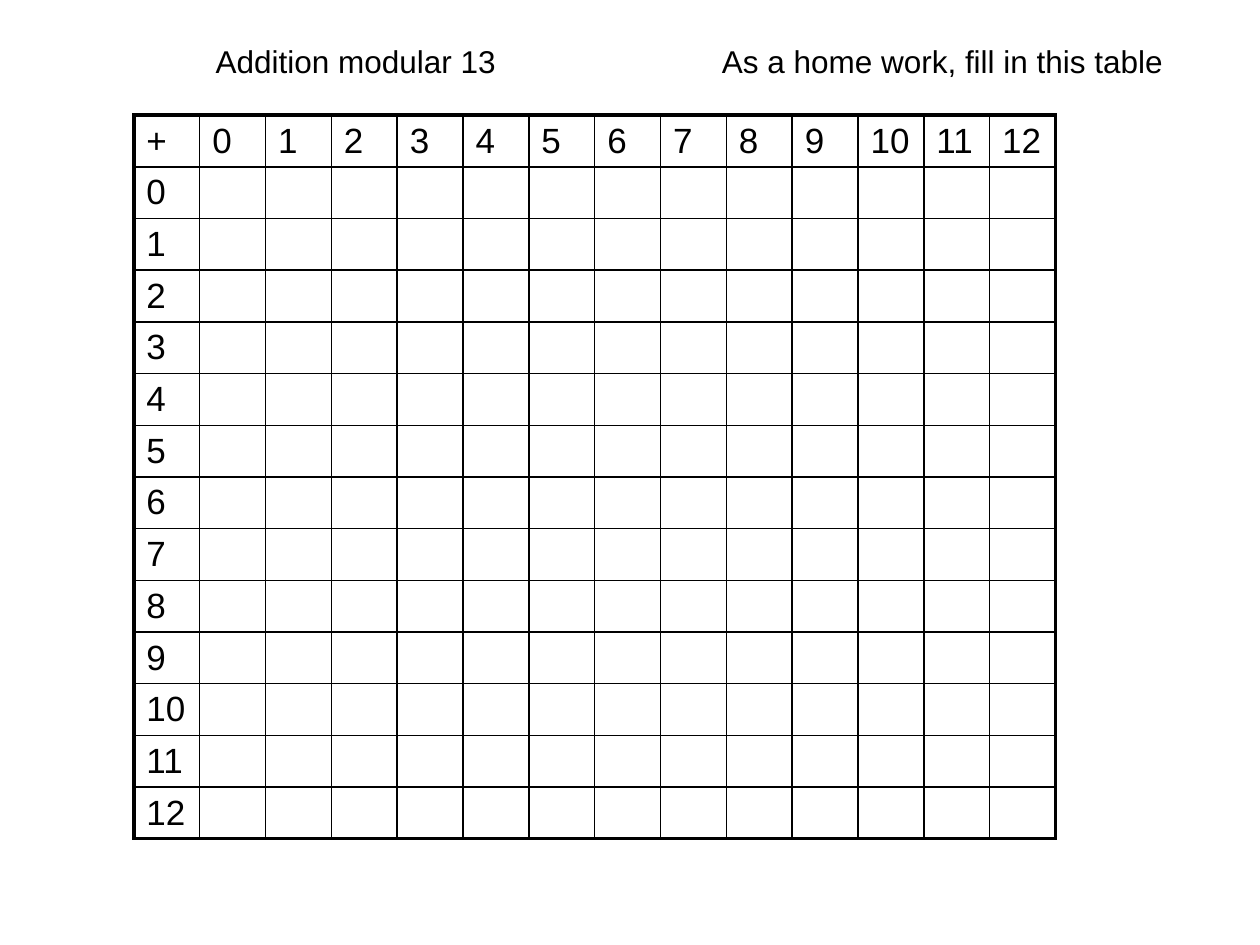
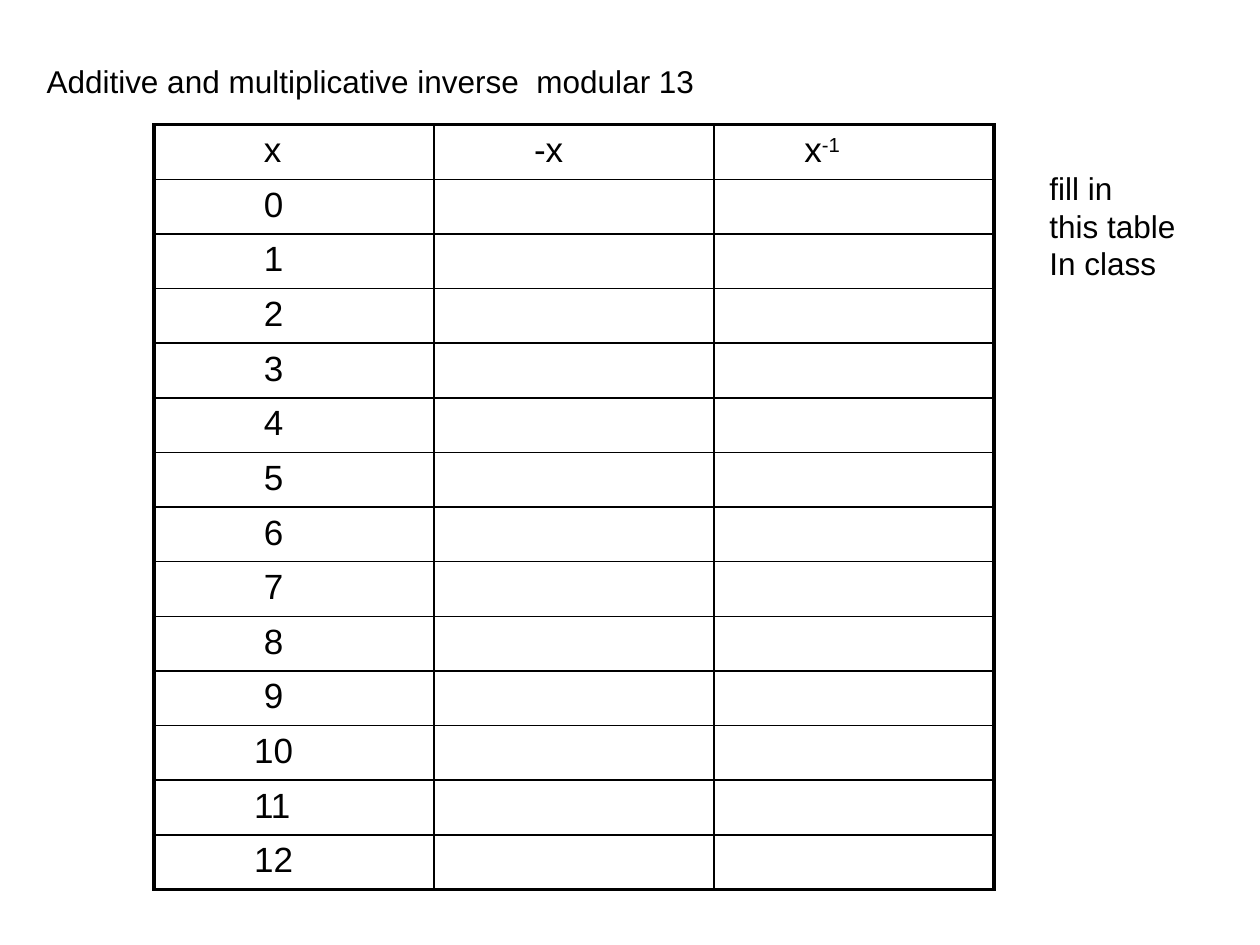
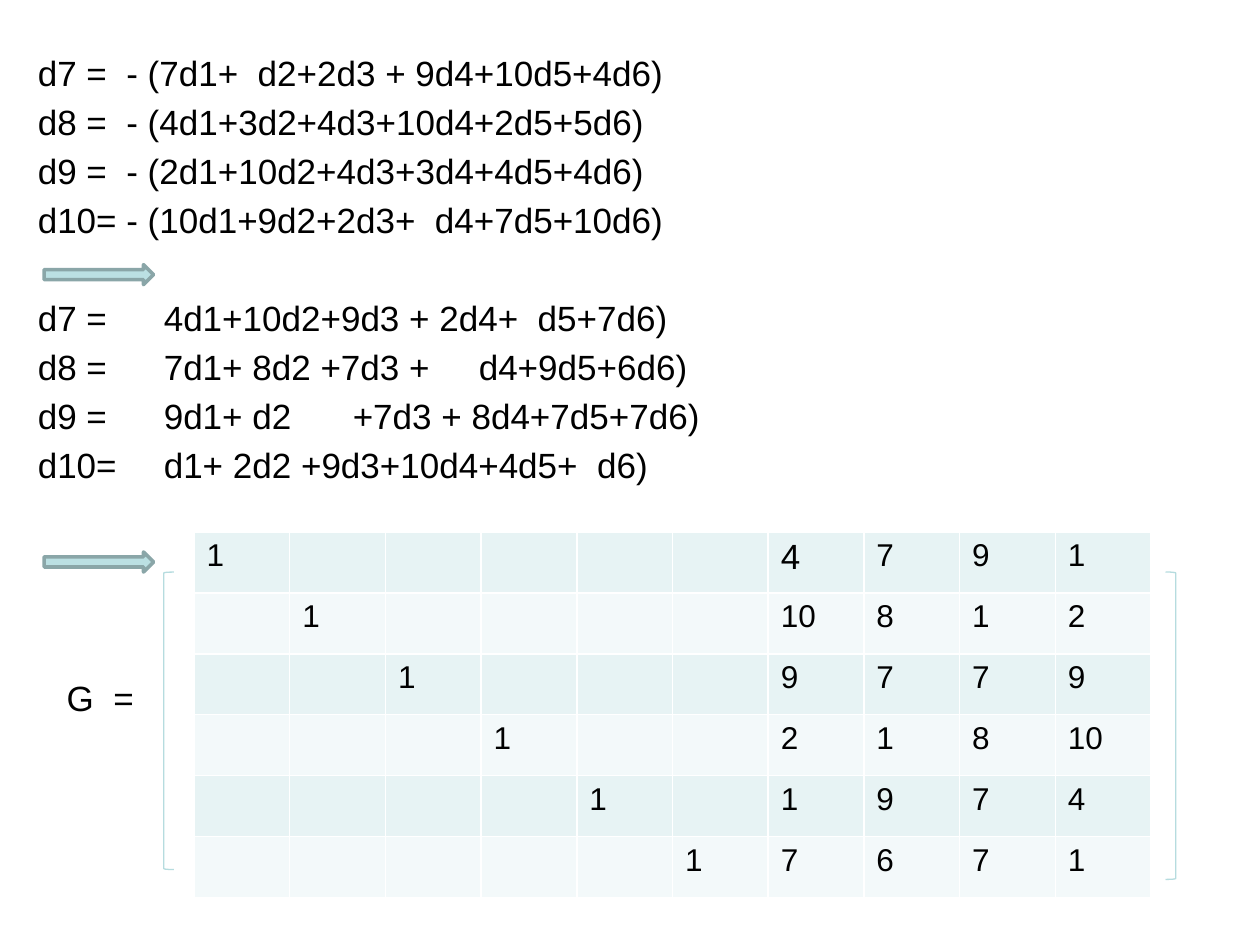
import pptx
import pptx.util
import pptx.dml.color
import pptx.enum.shapes
import pptx.enum.text
import lxml.etree
from pptx.oxml.ns import qn

Pt = pptx.util.Pt
rgb = pptx.dml.color.RGBColor.from_string
SHAPE = pptx.enum.shapes.MSO_SHAPE
FONT, BLACK, WHITE = "Arial", "000000", "FFFFFF"
TEAL, TEAL_DARK, TEAL_LINE = "BBE0E3", "8AA6A8", "B6DCDF"
BANDS = ["E7F3F4", "F3F9FA"]


def write(sp, box, text, size, wrap=True):
    """Place a text shape and give it the shared text style."""
    sp.left, sp.top, sp.width, sp.height = [Pt(v) for v in box]
    tf = sp.text_frame
    tf.text = text
    tf.word_wrap = wrap
    tf.auto_size = pptx.enum.text.MSO_AUTO_SIZE.NONE
    tf.vertical_anchor = pptx.enum.text.MSO_ANCHOR.TOP
    for p in tf.paragraphs:
        p.alignment = pptx.enum.text.PP_ALIGN.LEFT
        p.line_spacing = Pt(1.2 * size)
        p.space_before = Pt(0)
        for r in p.runs:
            r.font.name, r.font.size, r.font.color.rgb = FONT, Pt(size), rgb(BLACK)
    return tf


def grid(s, rows, box, size, line, outer, bands=None):
    """Add a ruled table with its own outer line width."""
    n, m = len(rows), len(rows[0])
    tbl = s.shapes.add_table(n, m, *[Pt(v) for v in box]).table
    tbl.first_row = tbl.horz_banding = False
    for i, row in enumerate(rows):
        for j, text in enumerate(row):
            cell = tbl.cell(i, j)
            edges = {"L": j == 0, "R": j == m - 1, "T": i == 0, "B": i == n - 1}
            for side, is_outer in edges.items():
                ln = lxml.etree.SubElement(cell._tc.get_or_add_tcPr(), qn("a:ln" + side))
                ln.set("w", str(Pt(outer if is_outer else 1)))
                fill = lxml.etree.SubElement(ln, qn("a:solidFill"))
                lxml.etree.SubElement(fill, qn("a:srgbClr")).set("val", line)
            if bands:
                cell.fill.solid()
                cell.fill.fore_color.rgb = rgb(bands[i % len(bands)])
            else:
                cell.fill.background()
            if text:
                cell.text = text
                f = cell.text_frame.paragraphs[0].runs[0].font
                f.name, f.size, f.color.rgb = FONT, Pt(size), rgb(BLACK)
    return tbl


prs = pptx.Presentation()
prs.slide_width, prs.slide_height = Pt(720), Pt(540)
residues = [str(k) for k in range(13)]

# Slide 1: addition table
s = prs.slides.add_slide(prs.slide_layouts[5])
write(s.shapes.title, (116, 20.2, 199, 28.8), "Addition modular 13", 18)
rows = [["+"] + residues] + [[k] + [""] * 13 for k in residues]
grid(s, rows, (76.5, 65.8, 527, 413.8), 20, BLACK, 2.25)
sp = s.shapes.add_textbox(0, 0, 0, 0)
write(sp, (405.4, 20.2, 285, 28.8), "As a home work, fill in this table", 18)

# Slide 2: inverses
s = prs.slides.add_slide(prs.slide_layouts[5])
write(s.shapes.title, (19.4, 31.7, 397, 28.8),
      "Additive and multiplicative inverse  modular 13", 18)
rows = [["x", "-x", "x"]] + [[k, "", ""] for k in residues]
tbl = grid(s, rows, (88, 71.3, 480, 437), 20, BLACK, 2.25)
for i, row in enumerate(rows):
    tbl.cell(i, 0).margin_left = Pt(62.8 if len(row[0]) == 1 else 57.2)
tbl.cell(0, 1).margin_left = Pt(57.2)
tbl.cell(0, 2).margin_left = Pt(51.7)
r = tbl.cell(0, 2).text_frame.paragraphs[0].add_run()
r.text = "-1"
r.font.name, r.font.size, r.font.color.rgb = FONT, Pt(20), rgb(BLACK)
r._r.get_or_add_rPr().set("baseline", "30000")
sp = s.shapes.add_textbox(0, 0, 0, 0)
tf = write(sp, (592.6, 71.3, 96.5, 94.3), "fill in\nthis table\nIn class", 18)
tf.margin_top = Pt(25.2)

# Slide 3: check digit equations, each with its tab stops
s = prs.slides.add_slide(prs.slide_layouts[1])
s.shapes.title._element.getparent().remove(s.shapes.title._element)
equations = [
    ("d7 =  - (7d1+  d2+2d3 + 9d4+10d5+4d6)", []),
    ("d8 =  - (4d1+3d2+4d3+10d4+2d5+5d6)", []),
    ("d9 =  - (2d1+10d2+4d3+3d4+4d5+4d6)", []),
    ("d10= - (10d1+9d2+2d3+  d4+7d5+10d6)", []),
    ("d7 =\t4d1+10d2+9d3 + 2d4+  d5+7d6)", [56.2]),
    ("d8 =\t7d1+ 8d2 +7d3 +\td4+9d5+6d6)", [56.2, 224.6]),
    ("d9 =\t9d1+ d2\t+7d3 + 8d4+7d5+7d6)", [56.2, 145.7]),
    ("d10=\td1+ 2d2 +9d3+10d4+4d5+  d6)", [67.3]),
]
tf = write(s.placeholders[1], (14.4, 25.9, 680.4, 487.4),
           "\n".join(text for text, stops in equations), 20)
for k, (p, (text, stops)) in enumerate(zip(tf.paragraphs, equations)):
    p.space_after = Pt(32 if k == 3 else 4)
    pPr = p._p.get_or_add_pPr()
    pPr.set("marL", "0")
    pPr.set("indent", "0")
    lxml.etree.SubElement(pPr, qn("a:buNone"))
    if stops:
        tabs = lxml.etree.SubElement(pPr, qn("a:tabLst"))
        for pos in stops:
            tab = lxml.etree.SubElement(tabs, qn("a:tab"))
            tab.set("pos", str(Pt(pos)))
            tab.set("algn", "l")

# Step arrows
for top in (151.2, 315.4):
    sp = s.shapes.add_shape(SHAPE.RIGHT_ARROW, Pt(25.2), Pt(top), Pt(62.6), Pt(11.5))
    sp.shadow.inherit = False
    sp.fill.solid()
    sp.fill.fore_color.rgb = rgb(TEAL)
    sp.line.color.rgb, sp.line.width = rgb(TEAL_DARK), Pt(2)

# Generator matrix: identity beside the check coefficients
checks = ["4 7 9 1", "10 8 1 2", "9 7 7 9", "2 1 8 10", "1 9 7 4", "7 6 7 1"]
rows = [["1" if i == j else "" for j in range(6)] + c.split() for i, c in enumerate(checks)]
tbl = grid(s, rows, (110.9, 304, 547, 209), 18, WHITE, 1, BANDS)
tbl.cell(0, 6).text_frame.paragraphs[0].runs[0].font.size = Pt(20)
write(s.shapes.add_textbox(0, 0, 0, 0), (31, 383, 58.3, 31.7), "G  =", 20, wrap=False)
for kind, left, height in ((SHAPE.LEFT_BRACKET, 93.6, 170), (SHAPE.RIGHT_BRACKET, 666, 175.7)):
    sp = s.shapes.add_shape(kind, Pt(left), Pt(326.9), Pt(5.8), Pt(height))
    sp.shadow.inherit = False
    sp.fill.background()
    sp.line.color.rgb, sp.line.width = rgb(TEAL_LINE), Pt(0.75)

prs.save("out.pptx")
